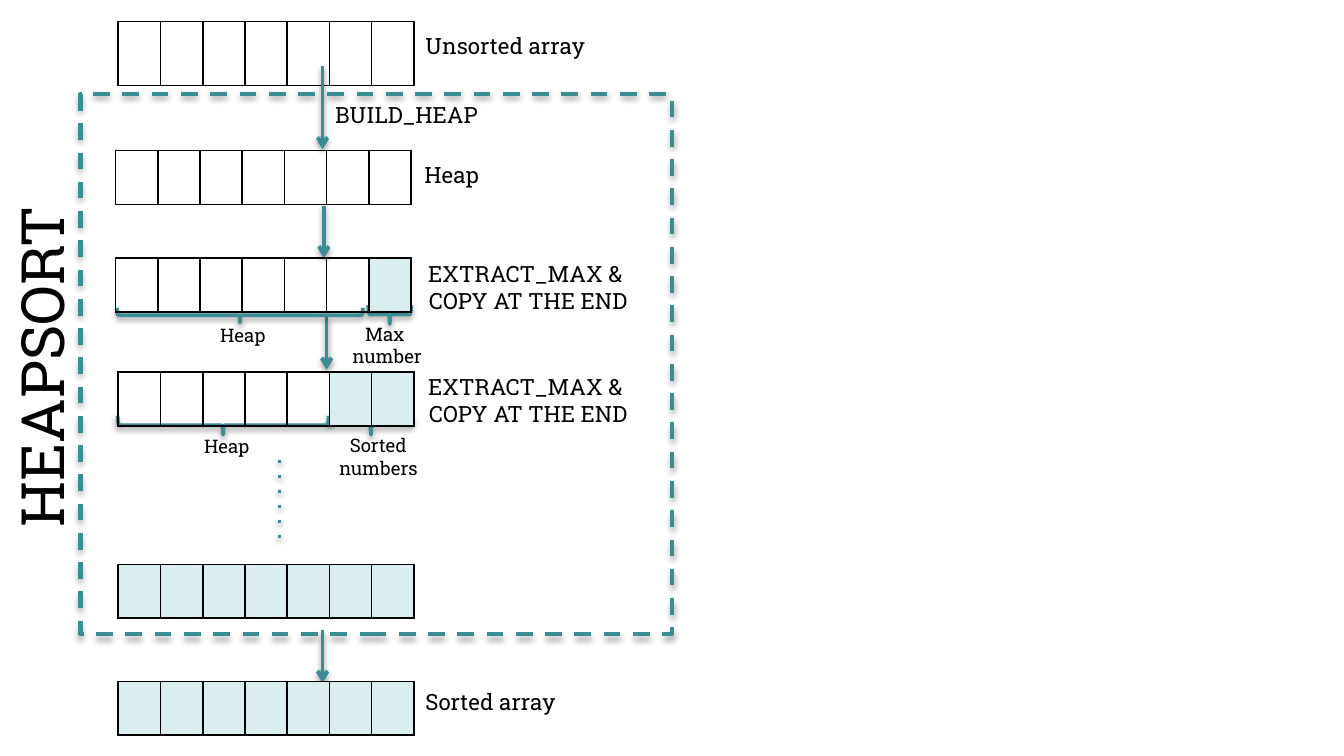
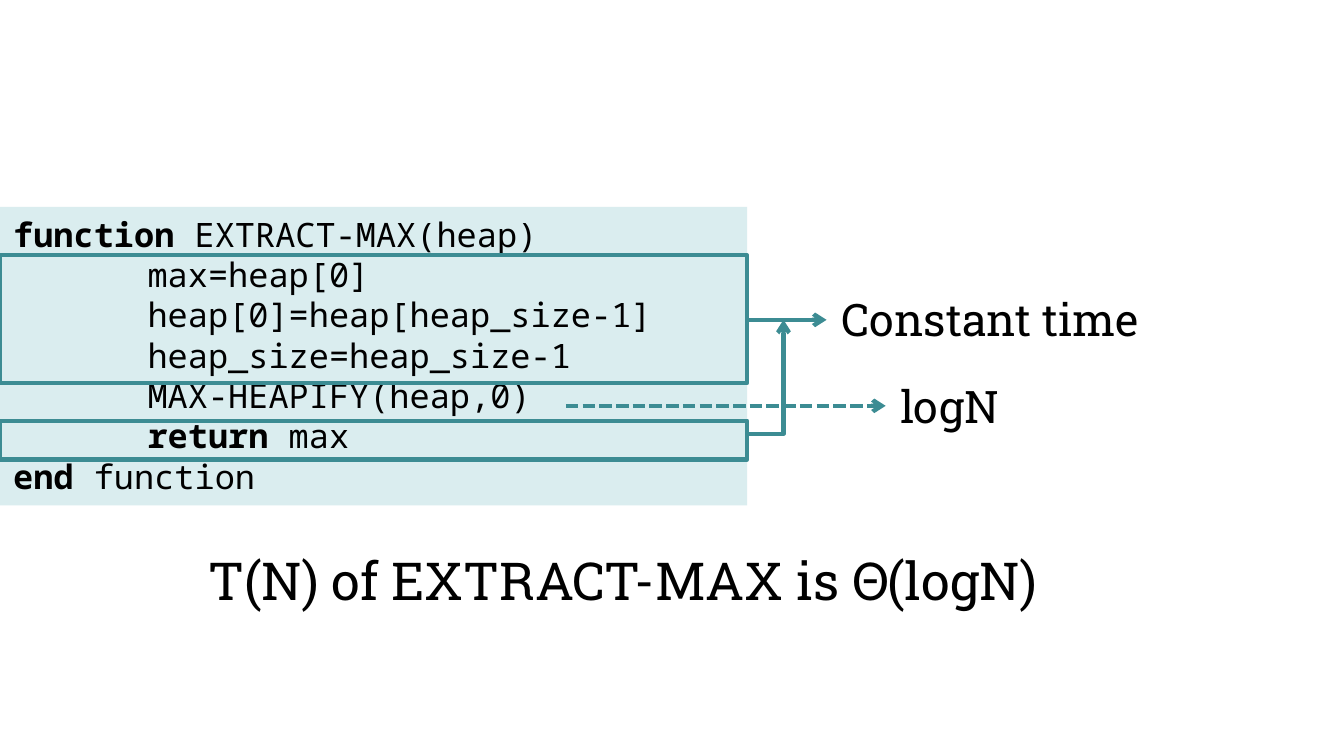
from dataclasses import dataclass
from typing import NamedTuple

from lxml import etree
from pptx import Presentation
from pptx.dml.color import RGBColor
from pptx.enum import shapes, text
from pptx.oxml import ns
from pptx.util import Inches, Pt


# Theme
@dataclass(frozen=True)
class Theme:
    ink: str = "000000"
    accent: str = "3C8C93"
    tint: str = "DAEDEF"
    font: str = "Roboto Slab"
    code_font: str = "Noto Sans Mono"
    banner: int = 32
    conclusion: int = 28
    callout: int = 24
    code: int = 18
    label: int = 12
    caption: int = 10
    thin: float = 1
    line: float = 2
    frame: float = 2.25


THEME = Theme()
CELLS = 7
ARRAY_WIDTH, ARRAY_HEIGHT, ROW_HEIGHT = 2.2, 0.33, 0.3
LEFT, CENTER = text.PP_ALIGN.LEFT, text.PP_ALIGN.CENTER
RECTANGLE = shapes.MSO_SHAPE.RECTANGLE
BRACE = shapes.MSO_SHAPE.RIGHT_BRACE


class Box(NamedTuple):
    left: float
    top: float
    width: float
    height: float

    def lengths(self) -> list:
        return [Inches(value) for value in self]


class ArrayRow(NamedTuple):
    left: float
    top: float
    filled: int
    margin: float = 0.05


class Label(NamedTuple):
    words: str
    box: Box
    size: int = THEME.label
    align: text.PP_ALIGN = CENTER
    wrap: bool = False
    rotation: int = 0


class Arrow(NamedTuple):
    x1: float
    y1: float
    x2: float
    y2: float
    width: float = THEME.line
    dash: str = ""
    head: bool = True
    shadow: bool = False


# Drawing helpers
def add_xml(parent, tag: str, **attributes):
    return etree.SubElement(parent, ns.qn(tag), attributes)


def style_line(shape, width: float, dash: str = "", head: bool = False) -> None:
    shape.line.color.rgb = RGBColor.from_string(THEME.accent)
    shape.line.width = Pt(width)
    line = shape.element.spPr.find(ns.qn("a:ln"))
    if dash:
        add_xml(line, "a:prstDash", val=dash)
    if head:
        add_xml(line, "a:tailEnd", type="arrow")


def set_shadow(shape, visible: bool) -> None:
    effects = add_xml(shape.element.spPr, "a:effectLst")
    if visible:
        shadow = add_xml(effects, "a:outerShdw", blurRad="40000", dist="20000",
                         dir="5400000", rotWithShape="0")
        color = add_xml(shadow, "a:srgbClr", val=THEME.ink)
        add_xml(color, "a:alpha", val="38000")


def style_font(font, size: int, name: str = THEME.font) -> None:
    font.size = Pt(size)
    font.name = name
    font.color.rgb = RGBColor.from_string(THEME.ink)


def draw_outline(slide, box: Box, kind=RECTANGLE, width: float = THEME.frame,
                 dash: str = "", rotation: int = 0, shadow: bool = False) -> None:
    shape = slide.shapes.add_shape(kind, *box.lengths())
    shape.rotation = rotation
    shape.fill.background()
    style_line(shape, width, dash)
    set_shadow(shape, shadow)


def draw_arrow(slide, arrow: Arrow, kind=shapes.MSO_CONNECTOR.STRAIGHT):
    ends = [Inches(value) for value in arrow[:4]]
    connector = slide.shapes.add_connector(kind, *ends)
    style_line(connector, arrow.width, arrow.dash, arrow.head)
    set_shadow(connector, arrow.shadow)
    return connector


def draw_label(slide, label: Label) -> None:
    shape = slide.shapes.add_textbox(*label.box.lengths())
    shape.rotation = label.rotation
    frame = shape.text_frame
    frame.word_wrap = label.wrap
    frame.auto_size = text.MSO_AUTO_SIZE.SHAPE_TO_FIT_TEXT
    frame.text = label.words
    for paragraph in frame.paragraphs:
        paragraph.alignment = label.align
        for run in paragraph.runs:
            style_font(run.font, label.size)


def draw_array(slide, row: ArrayRow) -> None:
    box = Box(row.left, row.top, ARRAY_WIDTH, ARRAY_HEIGHT)
    graphic = slide.shapes.add_table(1, CELLS, *box.lengths())
    table = graphic.table
    table.first_row = table.horz_banding = False
    table.rows[0].height = Inches(ROW_HEIGHT)
    graphic.height = Inches(ARRAY_HEIGHT)
    for column in table.columns:
        column.width = Inches(ARRAY_WIDTH / CELLS)
    for index, cell in enumerate(table.iter_cells()):
        cell.margin_top = Inches(row.margin)
        properties = cell._tc.get_or_add_tcPr()
        for side in ("a:lnL", "a:lnR", "a:lnT", "a:lnB"):
            border = add_xml(properties, side, w=str(Pt(THEME.thin)))
            fill = add_xml(border, "a:solidFill")
            add_xml(fill, "a:srgbClr", val=THEME.ink)
        if index >= CELLS - row.filled:
            cell.fill.solid()
            cell.fill.fore_color.rgb = RGBColor.from_string(THEME.tint)
        else:
            cell.fill.background()


def draw_code(slide, box: Box, lines: list) -> None:
    """Each line is a list of (words, bold) pairs."""
    shape = slide.shapes.add_shape(RECTANGLE, *box.lengths())
    shape.fill.solid()
    shape.fill.fore_color.rgb = RGBColor.from_string(THEME.tint)
    shape.line.fill.background()
    shape.shadow.inherit = False
    frame = shape.text_frame
    frame.word_wrap = True
    frame.auto_size = text.MSO_AUTO_SIZE.SHAPE_TO_FIT_TEXT
    frame.vertical_anchor = text.MSO_ANCHOR.TOP
    for index, pieces in enumerate(lines):
        paragraph = frame.add_paragraph() if index else frame.paragraphs[0]
        paragraph.alignment = LEFT
        tabs = add_xml(paragraph._p.get_or_add_pPr(), "a:tabLst")
        add_xml(tabs, "a:tab", pos=str(Inches(1)), algn="l")
        for words, bold in pieces:
            run = paragraph.add_run()
            run.text = words
            style_font(run.font, THEME.code, THEME.code_font)
            run.font.bold = bold


# Slide 1: heapsort step by step
def build_heapsort(slide) -> None:
    draw_array(slide, ArrayRow(0.88, 0.16, 0, margin=0.12))
    draw_arrow(slide, Arrow(2.4, 0.49, 2.4, 1.11, shadow=True))
    draw_outline(slide, Box(0.6, 0.7, 4.4, 4.02), dash="dash", shadow=True)

    # Arrows between the later steps
    for x, top, bottom in ((2.4, 4.69, 5.08), (2.41, 1.53, 1.92), (2.43, 2.36, 2.75)):
        draw_arrow(slide, Arrow(x, top, x, bottom, shadow=True))

    # Braces under the heap and sorted parts
    for box in (Box(2.83, 2.18, 0.14, 0.32), Box(1.73, 1.43, 0.11, 1.83),
                Box(2.69, 2.86, 0.14, 0.61), Box(1.59, 2.38, 0.14, 1.57)):
        draw_outline(slide, box, BRACE, THEME.line, rotation=90, shadow=True)

    # Labels
    extract = "EXTRACT_MAX & \nCOPY AT THE END"
    for label in (
        Label("HEAPSORT", Box(-1.01, 2.41, 2.63, 0.64), THEME.banner, rotation=270),
        Label("Unsorted array", Box(3.06, 0.19, 1.4, 0.3)),
        Label("Sorted array ", Box(3.06, 5.07, 1.18, 0.3)),
        Label("BUILD_HEAP", Box(2.39, 0.7, 1.27, 0.3)),
        Label("Heap", Box(3.06, 1.15, 0.61, 0.3), align=LEFT),
        Label(extract, Box(3.07, 1.89, 1.72, 0.5)),
        Label("Heap", Box(1.54, 2.36, 0.54, 0.27), THEME.caption, LEFT),
        Label("Max \nnumber", Box(2.52, 2.35, 0.72, 0.44), THEME.caption),
        Label("Heap", Box(1.42, 3.19, 0.54, 0.27), THEME.caption, LEFT),
        Label("Sorted numbers", Box(2.33, 3.18, 0.97, 0.44), THEME.caption, wrap=True),
        Label(extract, Box(3.07, 2.73, 1.72, 0.5)),
    ):
        draw_label(slide, label)

    # Array states, filled from the right
    for row in (ArrayRow(0.86, 1.12, 0), ArrayRow(0.86, 1.92, 1),
                ArrayRow(0.88, 2.77, 2), ArrayRow(0.88, 4.2, CELLS),
                ArrayRow(0.88, 5.07, CELLS)):
        draw_array(slide, row)
    draw_arrow(slide, Arrow(2.08, 3.42, 2.08, 4.02, dash="dot", head=False, shadow=True))


# Slide 2: running time of EXTRACT-MAX
def build_running_time(slide) -> None:
    code_width = 5.56
    draw_code(slide, Box(0, 1.54, code_width, 2.22), [
        [("function", True), (" EXTRACT-MAX(heap)", False)],
        [("\tmax=heap[0]", False)],
        [("\theap[0]=heap[heap_size-1]", False)],
        [("\theap_size=heap_size-1", False)],
        [("\tMAX-HEAPIFY(heap,0)", False)],
        [("\t", False), ("return ", True), ("max", False)],
        [("end ", True), ("function", False)],
    ])

    # Frames around the constant-time lines
    for top, height in ((1.9, 0.95), (3.13, 0.29)):
        draw_outline(slide, Box(0, top, code_width, height))

    # Arrows to the costs
    draw_arrow(slide, Arrow(code_width, 2.38, 6.15, 2.38, THEME.frame))
    elbow = draw_arrow(slide, Arrow(6.07, 2.89, 5.32, 2.62, THEME.frame),
                       shapes.MSO_CONNECTOR.ELBOW)
    properties = elbow.element.spPr
    properties.find(ns.qn("a:xfrm")).set("rot", "5400000")
    geometry = properties.find(ns.qn("a:prstGeom"))
    adjustments = geometry.find(ns.qn("a:avLst"))
    if adjustments is None:
        adjustments = add_xml(geometry, "a:avLst")
    add_xml(adjustments, "a:gd", name="adj1", fmla="val -13200")
    draw_arrow(slide, Arrow(4.21, 3.02, 6.59, 3.02, THEME.frame, "sysDash"))

    # Costs and conclusion
    for label in (
        Label("Constant time", Box(6.15, 2.12, 2.44, 0.5), THEME.callout),
        Label("logN", Box(6.59, 2.77, 0.95, 0.5), THEME.callout),
        Label("T(N) of EXTRACT-MAX is Θ(logN)", Box(1.39, 4.03, 6.49, 0.57),
              THEME.conclusion),
    ):
        draw_label(slide, label)


# Presentation, 16:9
presentation = Presentation()
presentation.slide_width = Inches(10)
presentation.slide_height = Inches(10 * 9 / 16)
blank_layout = presentation.slide_layouts[6]
for build in (build_heapsort, build_running_time):
    build(presentation.slides.add_slide(blank_layout))
presentation.save("out.pptx")
